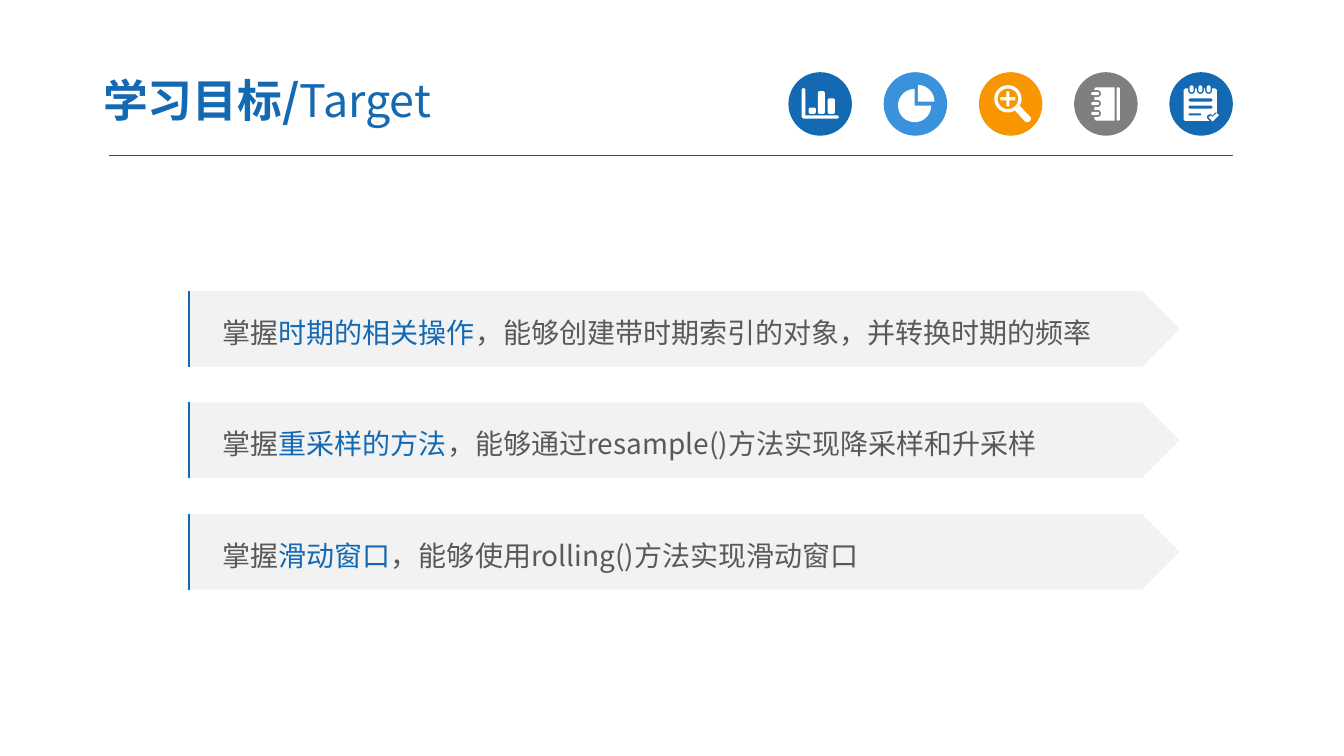
from math import cos, radians, sin

from lxml.etree import SubElement
from pptx import Presentation
from pptx.dml.color import RGBColor
from pptx.enum.shapes import MSO_CONNECTOR, MSO_SHAPE
from pptx.enum.text import MSO_ANCHOR, MSO_AUTO_SIZE, PP_ALIGN
from pptx.oxml.ns import qn
from pptx.util import Cm, Pt

COLORS = {"blue": "1369B2", "sky": "3992DB", "orange": "F79600", "gray": "7F7F7F",
          "rule": "005B9E", "panel": "F2F2F2", "text": "595959", "white": "FFFFFF"}
FONT = "Noto Sans CJK SC"

TITLE = [("学习目标/", "blue", True), ("Target", "blue", False)]
GOALS = [
    ("掌握", "时期的相关操作", "，能够创建带时期索引的对象，并转换时期的频率"),
    ("掌握", "重采样的方法", "，能够通过resample()方法实现降采样和升采样"),
    ("掌握", "滑动窗口", "，能够使用rolling()方法实现滑动窗口"),
]

TITLE_BOX = (2.27, 1.6, 13.26, 1.83)
TITLE_RULE = (2.75, 3.93, 31.07, 3.93)
BADGE_LEFT, BADGE_TOP, BADGE_SIZE, BADGE_PITCH = 19.87, 1.82, 1.6, 2.4
GOAL_LEFT, GOAL_TOP, GOAL_WIDTH, GOAL_HEIGHT, GOAL_PITCH = 4.73, 7.33, 25, 1.91, 2.81
EDGE_OFFSET, EDGE_WIDTH = 0.03, 0.38


def arc(x, y, radius, start, end, steps=8):
    angles = [radians(start + (end - start) * step / steps) for step in range(steps + 1)]
    return [(x + radius * cos(angle), y + radius * sin(angle)) for angle in angles]


def rounded(x, y, width, height, radius):
    right, bottom = x + width - radius, y + height - radius
    corners = [(x + radius, y + radius, 180), (right, y + radius, 270),
               (right, bottom, 0), (x + radius, bottom, 90)]
    return [point for cx, cy, start in corners
            for point in arc(cx, cy, radius, start, start + 90, 2)]


def bar_chart():
    bars = [(0.51, 0.89), (0.74, 0.48), (0.99, 0.66)]
    axes = [*arc(0.38, 0.45, 0.05, 180, 360, 4), (0.43, 1.09), *arc(1.23, 1.13, 0.04, -90, 90, 4),
            (0.38, 1.17), (0.33, 1.13)]
    return [axes] + [rounded(x, top, 0.18, 1.05 - top, 0.04) for x, top in bars]


def pie_chart():
    return [[(0.86, 0.74), *arc(0.86, 0.74, 0.42, 270, 360)],
            [(0.78, 0.84), *arc(0.78, 0.84, 0.42, 0, 270, 20)]]


def magnifier():
    x, y, reach, half = 0.73, 0.67, 0.19, 0.04
    plus = [(-reach, -half), (-half, -half), (-half, -reach), (half, -reach),
            (half, -half), (reach, -half), (reach, half), (half, half),
            (half, reach), (-half, reach), (-half, half), (-reach, half)]
    return [arc(x, y, 0.345, 59, 391, 24) + arc(1.22, 1.17, 0.09, -45, 135, 6),
            arc(x, y, 0.26, 0, 360, 24),
            [(x + dx, y + dy) for dx, dy in plus]]


def notebook():
    rings = (0.54, 0.79, 1.04)
    cover = [(1.02, 1.22), (1.02, 0.38), (0.55, 0.38), (0.51, 0.42)]
    for y in rings:
        cover += [(0.51, y - 0.09), *arc(0.59, y, 0.09, -90, 90, 6), (0.51, y + 0.09)]
    cover += [(0.51, 1.18), (0.55, 1.22)]
    return [cover, rounded(1.07, 0.38, 0.08, 0.84, 0.03)] + [
        rounded(0.43, y - 0.04, 0.2, 0.08, 0.04) for y in rings]


def notepad():
    binders = (0.56, 0.78, 0.99)
    slots = [(0.66, 0.61, 0.08), (0.84, 0.61, 0.08), (1.04, 0.33, 0.05)]
    sheet = [(0.36, 0.45), (0.4, 0.41)]
    for x in binders:
        sheet += [(x - 0.09, 0.41), *arc(x, 0.46, 0.09, 180, 0, 6), (x + 0.09, 0.41)]
    sheet += [(1.16, 0.41), (1.2, 0.45), (1.2, 1.02), (1.15, 1.02), (1.09, 1.09), (1.05, 1.05),
              (0.96, 1.08), (0.94, 1.15), (1.01, 1.23), (0.4, 1.23), (0.36, 1.19)]
    tick = [(0.99, 1.14), (1.05, 1.09), (1.09, 1.13), (1.19, 1.03), (1.25, 1.08), (1.09, 1.24)]
    return [sheet, tick] + [
        rounded(0.48, y, width, height, height / 2) for y, width, height in slots] + [
        rounded(x - 0.05, 0.33, 0.1, 0.18, 0.05) for x in binders]


BADGES = [("blue", bar_chart()), ("sky", pie_chart()), ("orange", magnifier()),
          ("gray", notebook()), ("blue", notepad())]


def color(name):
    return RGBColor.from_string(COLORS[name])


def apply(target, values):
    for name, value in values.items():
        setattr(target, name, value)


def paint(shape, fill):
    shape.shadow.inherit = False
    shape.fill.solid()
    shape.fill.fore_color.rgb = color(fill)
    shape.line.fill.background()


def add_block(page, kind, box, fill):
    shape = page.shapes.add_shape(kind, *map(Cm, box))
    paint(shape, fill)
    return shape


def write(frame, spans, size, spacing, margins):
    apply(frame, {"word_wrap": True, "auto_size": MSO_AUTO_SIZE.NONE,
                  "vertical_anchor": MSO_ANCHOR.MIDDLE, **margins})
    para = frame.paragraphs[0]
    apply(para, {"alignment": PP_ALIGN.LEFT, "line_spacing": spacing, "space_before": Pt(0)})
    for text, name, bold in spans:
        span = para.add_run()
        span.text = text
        apply(span.font, {"name": FONT, "size": Pt(size), "bold": bold})
        span.font.color.rgb = color(name)
        SubElement(span.font._element, qn("a:ea"), typeface=FONT)


def add_badge(page, index, fill, contours):
    left = BADGE_LEFT + index * BADGE_PITCH
    add_block(page, MSO_SHAPE.OVAL, (left, BADGE_TOP, BADGE_SIZE, BADGE_SIZE), fill)
    placed = [[(Cm(left + x), Cm(BADGE_TOP + y)) for x, y in contour] for contour in contours]
    builder = page.shapes.build_freeform(*placed[0][0])
    builder.add_line_segments(placed[0][1:], close=True)
    for contour in placed[1:]:
        builder.move_to(*contour[0])
        builder.add_line_segments(contour[1:], close=True)
    paint(builder.convert_to_shape(), "white")


def add_goal(page, index, goal):
    top = GOAL_TOP + index * GOAL_PITCH
    arrow = add_block(page, MSO_SHAPE.PENTAGON, (GOAL_LEFT, top, GOAL_WIDTH, GOAL_HEIGHT), "panel")
    spans = [(text, name, False) for text, name in zip(goal, ("text", "blue", "text"))]
    write(arrow.text_frame, spans, 20, 1.2, {"margin_left": Cm(0.88)})
    edge, bottom = GOAL_LEFT + EDGE_OFFSET, top + GOAL_HEIGHT
    builder = page.shapes.build_freeform(Cm(edge), Cm(bottom))
    builder.add_line_segments([(Cm(edge), Cm(top))], close=False)
    builder.move_to(Cm(edge + EDGE_WIDTH), Cm(top))
    stroke = builder.convert_to_shape()
    stroke.shadow.inherit = False
    stroke.fill.background()
    stroke.line.color.rgb = color("blue")
    stroke.line.width = Pt(1.5)


def main():
    deck = Presentation()
    apply(deck, {"slide_width": Cm(33.87), "slide_height": Cm(19.05)})
    page = deck.slides.add_slide(deck.slide_layouts[5])
    rule = page.shapes.add_connector(MSO_CONNECTOR.STRAIGHT, *map(Cm, TITLE_RULE))
    rule.line.color.rgb = color("rule")
    rule.line.width = Pt(0.75)
    SubElement(rule._element.spPr, qn("a:effectLst"))
    for index, (fill, contours) in enumerate(BADGES):
        add_badge(page, index, fill, contours)
    title = page.shapes.title
    apply(title, dict(zip(("left", "top", "width", "height"), map(Cm, TITLE_BOX))))
    write(title.text_frame, TITLE, 32, 1.0, {"margin_left": Cm(0.33), "margin_right": Cm(0.33)})
    for index, goal in enumerate(GOALS):
        add_goal(page, index, goal)
    deck.save("out.pptx")


if __name__ == "__main__":
    main()
